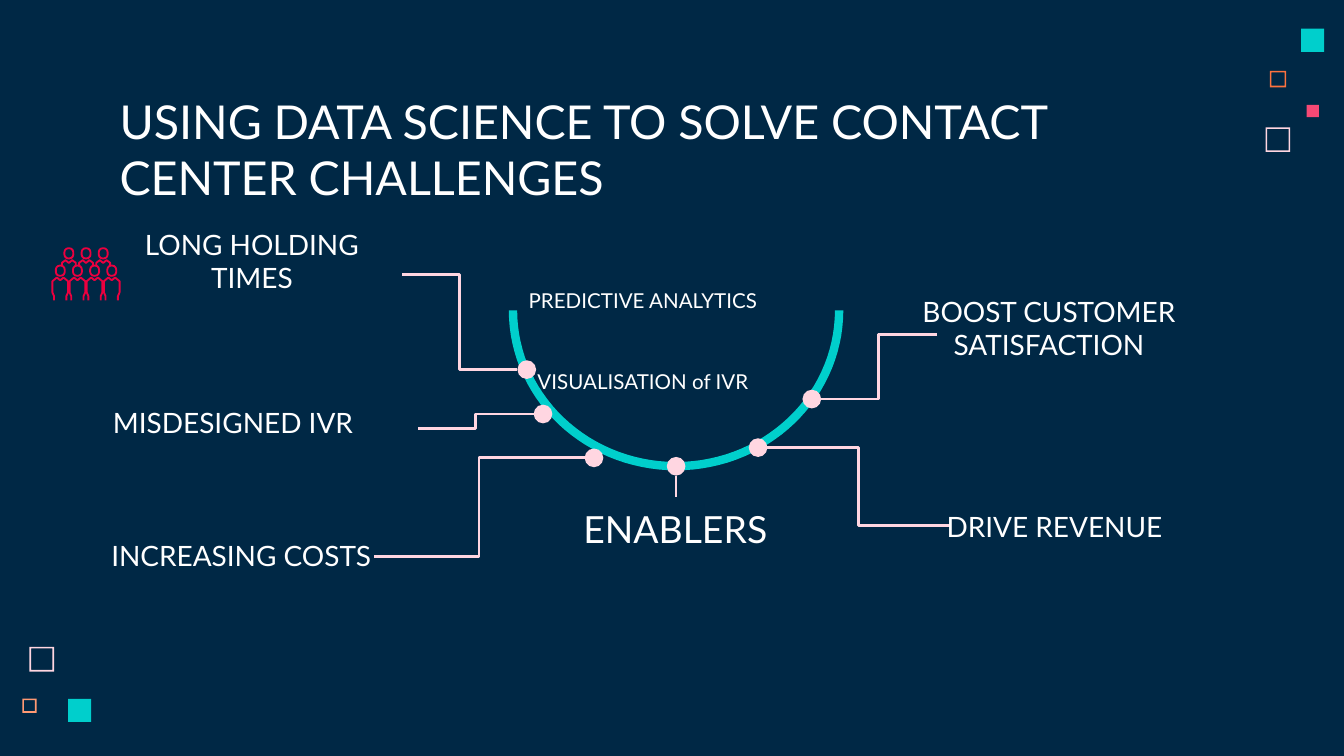
from math import cos, pi, sin

from lxml.etree import SubElement
from pptx import Presentation
from pptx.dml.color import RGBColor
from pptx.enum.shapes import MSO_CONNECTOR, MSO_SHAPE
from pptx.enum.text import MSO_ANCHOR, PP_ALIGN
from pptx.oxml.ns import qn
from pptx.util import Pt

NAVY = RGBColor(0x00, 0x28, 0x45)
WHITE = RGBColor(0xFF, 0xFF, 0xFF)
TEAL = RGBColor(0x00, 0xCF, 0xCC)
PALE_PINK = RGBColor(0xFF, 0xD6, 0xE1)
ROSE = RGBColor(0xF6, 0x49, 0x75)
ORANGE = RGBColor(0xFC, 0x72, 0x3F)
PEACH = RGBColor(0xFF, 0x99, 0x73)
RED = RGBColor(0xEB, 0x00, 0x3F)

LABEL_W, LABEL_H = 160.6, 36
DOT = 10

# label, size, label corner, dot centre, side of the dot (x, y), line end;
# all places are relative to the centre of the arc
SPOKES = [
    ("LONG HOLDING TIMES", 15, (-307.5, -37.4), (-80, 31.7), (-1, 0), (-146.9, -19.4)),
    ("MISDESIGNED IVR", 15, (-317.6, 40.3), (-71.3, 55.5), (-1, 0), (-138.3, 63.4)),
    ("INCREASING COSTS", 15, (-313.2, 111.6), (-44, 79), (-1, 0), (-162, 131.8)),
    ("ENABLERS", 20, (-80.7, 100.1), (0, 83.5), (0, 1), (0, 100.1)),
    ("DRIVE REVENUE", 15, (122.4, 95.8), (43.9, 73.5), (1, 0), (146.8, 115.2)),
    ("BOOST CUSTOMER SATISFACTION", 15, (119.5, -1.4), (72.7, 47.5), (1, 0), (139.6, 13)),
]


def add_text(slide, text, x, y, w, h, size, align=PP_ALIGN.CENTER,
             anchor=MSO_ANCHOR.BOTTOM):
    tf = slide.shapes.add_textbox(Pt(x), Pt(y), Pt(w), Pt(h)).text_frame
    tf.word_wrap = True
    tf.vertical_anchor = anchor
    tf.margin_left = tf.margin_right = tf.margin_top = tf.margin_bottom = Pt(7.2)
    p = tf.paragraphs[0]
    p.alignment = align
    r = p.add_run()
    r.text = text
    r.font.name = "Lato"
    r.font.size = Pt(size)
    r.font.color.rgb = WHITE


def paint(sp, fill=None, line=None, width=1):
    sp.shadow.inherit = False
    if fill is None:
        sp.fill.background()
    else:
        sp.fill.solid()
        sp.fill.fore_color.rgb = fill
    if line is None:
        sp.line.fill.background()
    else:
        sp.line.color.rgb = line
        sp.line.width = Pt(width)


def add_preset(slide, preset, x, y, w, h, **colours):
    sp = slide.shapes.add_shape(preset, Pt(x), Pt(y), Pt(w), Pt(h))
    paint(sp, **colours)
    return sp


def add_outline(slide, points, close, **colours):
    points = [(Pt(x), Pt(y)) for x, y in points]
    builder = slide.shapes.build_freeform(*points[0], scale=1.0)
    builder.add_line_segments(points[1:], close=close)
    paint(builder.convert_to_shape(), **colours)


def add_line(slide, kind, start, end):
    line = slide.shapes.add_connector(kind, *(Pt(v) for v in (*start, *end)))
    line.line.color.rgb = PALE_PINK
    line.line.width = Pt(1.5)
    SubElement(line._element.spPr, qn("a:effectLst"))


def corner_squares(slide, x, y, squares):
    """Squares given as (dx, dy, side, colour, hollow) from the corner x, y."""
    for dx, dy, side, colour, hollow in squares:
        preset = MSO_SHAPE.FRAME if hollow else MSO_SHAPE.RECTANGLE
        sp = add_preset(slide, preset, x + dx, y + dy, side, side, fill=colour)
        if hollow:
            sp.adjustments[0] = 0.85 / side


def half_ring(slide, cx, cy, rx, ry, thickness):
    """Lower half of an elliptical ring around cx, cy."""
    steps = 60
    angles = [pi * i / steps for i in range(steps + 1)]
    outer = [(cx + rx * cos(a), cy + ry * sin(a)) for a in angles]
    inner = [(cx + (rx - thickness) * cos(a), cy + (ry - thickness) * sin(a))
             for a in reversed(angles)]
    add_outline(slide, outer + inner, True, fill=TEAL)


def person(slide, cx, y, half_body):
    """Head with its top at y, and a body mirrored about cx."""
    add_preset(slide, MSO_SHAPE.ROUNDED_RECTANGLE, cx - 2.4, y, 4.8, 5.5,
               line=RED).adjustments[0] = 0.45
    left = [(cx - dx, y + dy) for dx, dy in half_body]
    right = [(cx + dx, y + dy) for dx, dy in reversed(half_body)]
    add_outline(slide, left + right[1:], False, line=RED)


def crowd_icon(slide, x, y):
    pitch = 9.2
    bust = [(3.7, 9.4), (3.7, 7.8), (1.8, 6.4), (0, 7.9)]
    full = [(3.3, 28), (3.3, 25.6), (4.4, 23.6), (4.4, 17.6), (1.8, 6.4), (0, 7.9)]
    full = [(3.3, 18.6), (3.3, 16.4), (4.2, 14.4), (4.2, 8.4), (1.8, 6.4), (0, 7.9)]
    for row_x, row_y, count, body in ((9, 0.5, 3, bust), (4.4, 9.8, 4, full)):
        for i in range(count):
            person(slide, x + row_x + i * pitch, y + row_y, body)


def enabler_diagram(slide, cx, cy):
    half_ring(slide, cx, cy, 89.6, 85.7, 4.5)
    for text, size, (lx, ly), (dx, dy), (sx, sy), (ex, ey) in SPOKES:
        kind = MSO_CONNECTOR.ELBOW if sx else MSO_CONNECTOR.STRAIGHT
        start = (cx + dx + sx * DOT / 2, cy + dy + sy * DOT / 2)
        add_line(slide, kind, start, (cx + ex, cy + ey))
        add_preset(slide, MSO_SHAPE.OVAL, cx + dx - DOT / 2, cy + dy - DOT / 2,
                   DOT, DOT, fill=PALE_PINK)
        add_text(slide, text, cx + lx, cy + ly, LABEL_W, LABEL_H, size)
    for text, dy in (("PREDICTIVE ANALYTICS", -28.1), ("VISUALISATION of IVR", 15.1)):
        add_text(slide, text, cx - 98, cy + dy, LABEL_W, LABEL_H, 11)


def main():
    prs = Presentation()
    prs.slide_width, prs.slide_height = Pt(720), Pt(405)
    slide = prs.slides.add_slide(prs.slide_layouts[6])
    slide.background.fill.solid()
    slide.background.fill.fore_color.rgb = NAVY

    corner_squares(slide, 678, 15, [
        (0, 53.2, 13.2, PALE_PINK, True),
        (2.3, 23, 8.8, ORANGE, True),
        (19, 0.4, 12.4, TEAL, False),
        (22, 41.2, 6.6, ROSE, False),
    ])
    corner_squares(slide, 12, 346, [
        (0, 28.3, 7.6, PEACH, True),
        (3.8, 0.6, 13.2, PALE_PINK, True),
        (24.5, 28.4, 12.4, TEAL, False),
    ])
    add_text(slide, "USING DATA SCIENCE TO SOLVE CONTACT CENTER CHALLENGES",
             57, 42.5, 607, 45.4, 25, align=PP_ALIGN.LEFT, anchor=MSO_ANCHOR.TOP)
    enabler_diagram(slide, 362.2, 166.3)
    crowd_icon(slide, 27.9, 132.5)
    prs.save("out.pptx")


if __name__ == "__main__":
    main()
